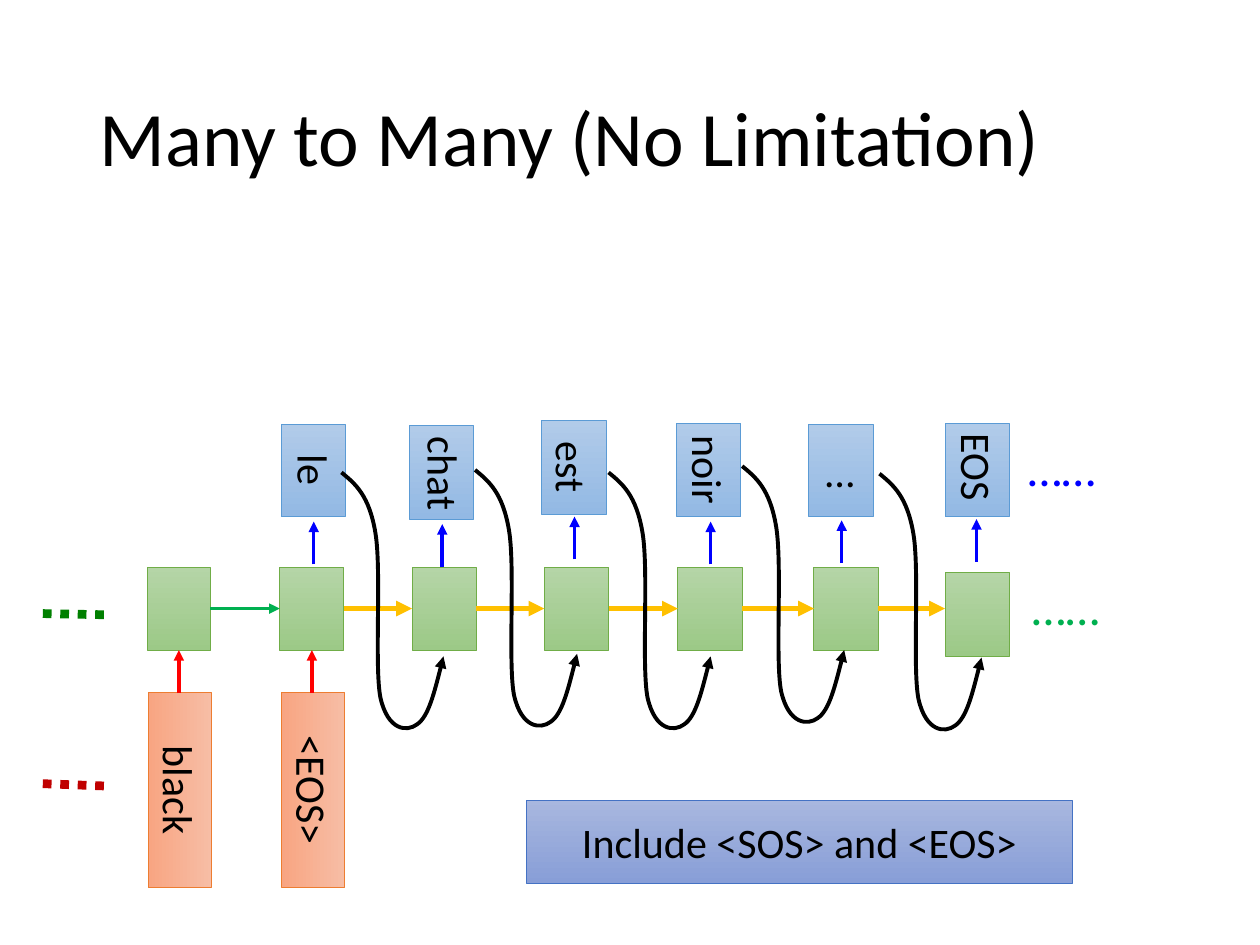
from dataclasses import dataclass
from typing import NamedTuple, Optional

from lxml import etree
from pptx import Presentation
from pptx.dml.color import RGBColor
from pptx.enum import dml, shapes, text
from pptx.oxml.ns import qn
from pptx.util import Inches, Pt


class Gradient(NamedTuple):
    light: str
    dark: str
    edge: str


@dataclass(frozen=True)
class Theme:
    font: str = "Calibri"
    title_size: int = 44
    label_size: int = 24
    dots_size: int = 28
    ink: str = "000000"
    hidden: Gradient = Gradient("B5D5A7", "9CC987", "70AD47")
    word: Gradient = Gradient("B1CBE9", "93B9E4", "5B9BD5")
    source: Gradient = Gradient("F7BDA5", "F8A582", "ED7D31")
    note: Gradient = Gradient("A8B7DF", "889ED7", "4472C4")
    input_arrow: str = "FF0000"
    output_arrow: str = "0000FF"
    encoder_arrow: str = "00B050"
    decoder_arrow: str = "FFC000"
    input_dots: str = "C00000"
    state_dots: str = "008000"


THEME = Theme()


class Box(NamedTuple):
    left: float
    top: float
    width: float
    height: float

    @property
    def centre(self) -> tuple[float, float]:
        return self.left + self.width / 2, self.top + self.height / 2


class Point(NamedTuple):
    x: float
    y: float


@dataclass(frozen=True)
class Step:
    """One decoder step: its state, the word it emits and the arrow between."""
    state: Box
    word: str
    word_box: Box
    label: Box
    arrow_start: Point
    rotation: int = 90


STEPS = [
    Step(Box(2.22, 4.5, 0.51, 0.66), "le", Box(2.23, 3.37, 0.51, 0.73),
         Box(2.02, 3.48, 0.95, 0.5), Point(2.49, 4.48)),
    Step(Box(3.27, 4.5, 0.51, 0.66), "chat", Box(3.25, 3.38, 0.51, 0.74),
         Box(3.1, 3.51, 0.85, 0.5), Point(3.51, 4.5)),
    Step(Box(4.32, 4.5, 0.51, 0.66), "est", Box(4.3, 3.34, 0.51, 0.74),
         Box(4.2, 3.46, 0.69, 0.5), Point(4.56, 4.44)),
    Step(Box(5.38, 4.5, 0.51, 0.66), "noir", Box(5.37, 3.36, 0.51, 0.74),
         Box(5.15, 3.48, 0.95, 0.5), Point(5.64, 4.48)),
    Step(Box(6.46, 4.5, 0.51, 0.66), "…", Box(6.42, 3.37, 0.51, 0.73),
         Box(6.32, 3.49, 0.69, 0.5), Point(6.68, 4.47), rotation=0),
    Step(Box(7.5, 4.54, 0.51, 0.67), "EOS", Box(7.5, 3.36, 0.51, 0.74),
         Box(7.14, 3.46, 1.24, 0.5), Point(7.75, 4.46)),
]
ENCODER_STATE = Box(1.17, 4.5, 0.5, 0.66)
ARROW_RISE = 0.34

# Feedback loop from a word to the next state: three points for each curve
LOOP_STARTS = [Point(2.71, 3.75), Point(3.77, 3.73), Point(4.83, 3.75),
               Point(5.89, 3.7), Point(6.98, 3.76)]
LOOP_OFFSETS = [
    Point(0.11, 0.09), Point(0.22, 0.18), Point(0.27, 0.48),
    Point(0.32, 0.78), Point(0.26, 1.54), Point(0.31, 1.79),
    Point(0.37, 2.05), Point(0.52, 2.06), Point(0.6, 2),
    Point(0.69, 1.94), Point(0.75, 1.7), Point(0.81, 1.46),
]


def rgb(colour: str) -> RGBColor:
    return RGBColor.from_string(colour)


def write(shape, words: str, size: int, colour: str = THEME.ink,
          align=text.PP_ALIGN.CENTER):
    shape.text_frame.text = words
    paragraph = shape.text_frame.paragraphs[0]
    paragraph.alignment = align
    font = paragraph.runs[0].font
    font.name, font.size, font.color.rgb = THEME.font, Pt(size), rgb(colour)
    return paragraph


def add_box(slide, box: Box, style: Gradient, words: str = "", rotation: int = 0):
    shape = slide.shapes.add_shape(shapes.MSO_SHAPE.RECTANGLE, *map(Inches, box))
    shape.rotation = rotation
    shape.shadow.inherit = False
    shape.fill.gradient()
    shape.fill.gradient_angle = 270
    for stop, colour in zip(shape.fill.gradient_stops, (style.light, style.dark)):
        stop.color.rgb = rgb(colour)
    shape.line.color.rgb, shape.line.width = rgb(style.edge), Pt(0.5)
    if words:
        write(shape, words, THEME.label_size)
    return shape


def add_label(slide, box: Box, words: str, size: int, colour: str = THEME.ink,
              align=text.PP_ALIGN.CENTER, rotation: int = 0) -> None:
    label = slide.shapes.add_textbox(*map(Inches, box))
    label.rotation = rotation
    label.text_frame.word_wrap = True
    write(label, words, size, colour, align)


def add_arrowhead(shape) -> None:
    line = shape._element.spPr.find(qn("a:ln"))
    etree.SubElement(line, qn("a:tailEnd"), type="triangle")


def add_line(slide, start: Point, end: Point, colour: str, width: float,
             arrow: bool = True, begin_shape: Optional[object] = None,
             end_joint: Optional[tuple] = None):
    line = slide.shapes.add_connector(
        shapes.MSO_CONNECTOR.STRAIGHT, *map(Inches, (*start, *end)))
    line.line.color.rgb, line.line.width = rgb(colour), Pt(width)
    if arrow:
        add_arrowhead(line)
    etree.SubElement(line._element.spPr, qn("a:effectLst"))
    if begin_shape is not None:
        line.begin_connect(begin_shape, 3)
    if end_joint is not None:
        line.end_connect(*end_joint)
    return line


def add_loop(slide, start: Point) -> None:
    builder = slide.shapes.build_freeform(Inches(start.x), Inches(start.y))
    builder.add_line_segments(
        [(Inches(start.x + p.x), Inches(start.y + p.y)) for p in LOOP_OFFSETS], close=False)
    loop = builder.convert_to_shape()
    # Every three straight segments become one cubic curve
    outline = next(loop._element.iter(qn("a:path")))
    segments = outline.findall(qn("a:lnTo"))
    for i in range(0, len(segments), 3):
        curve = etree.SubElement(outline, qn("a:cubicBezTo"))
        for segment in segments[i:i + 3]:
            curve.append(segment[0])
            outline.remove(segment)
    loop.shadow.inherit = False
    loop.fill.background()
    loop.line.color.rgb, loop.line.width = rgb(THEME.ink), Pt(2.25)
    add_arrowhead(loop)


def main() -> None:
    presentation = Presentation()
    presentation.slide_width, presentation.slide_height = Inches(10), Inches(7.5)
    slide = presentation.slides.add_slide(presentation.slide_layouts[5])

    # Title
    title = slide.shapes.title
    title.left, title.top, title.width, title.height = map(Inches, (0.69, 0.4, 8.62, 1.45))
    paragraph = write(title, "Many to Many (No Limitation)", THEME.title_size,
                      align=text.PP_ALIGN.LEFT)
    paragraph.line_spacing = 0.9
    title.text_frame.vertical_anchor = text.MSO_ANCHOR.MIDDLE

    # Recurrent states and the arrows between them
    boxes = [ENCODER_STATE] + [step.state for step in STEPS]
    states = [add_box(slide, box, THEME.hidden) for box in boxes]
    for i, (here, following) in enumerate(zip(boxes, boxes[1:])):
        colour, width = (THEME.decoder_arrow, 3) if i else (THEME.encoder_arrow, 2)
        level = here.centre[1]
        aligned = here.top == following.top
        add_line(slide, Point(here.left + here.width, level), Point(following.left, level),
                 colour, width, begin_shape=states[i],
                 end_joint=(states[i + 1], 1) if aligned else None)

    # Input words, turned upright, feeding the first two states
    for words, left, state, box in zip(("black", "<EOS>"), (0.65, 1.71), states, boxes):
        source = add_box(slide, Box(left, 6.02, 1.55, 0.5), THEME.source, words, rotation=90)
        source.text_frame.vertical_anchor = text.MSO_ANCHOR.TOP
        x = box.centre[0]
        add_line(slide, Point(x, 5.5), Point(x, box.top + box.height),
                 THEME.input_arrow, 2, end_joint=(state, 2))

    # Output words
    for step in STEPS:
        add_box(slide, step.word_box, THEME.word)
        add_label(slide, step.label, step.word, THEME.label_size, rotation=step.rotation)
        x, y = step.arrow_start
        add_line(slide, step.arrow_start, Point(x, y - ARROW_RISE), THEME.output_arrow, 2)

    # Each word returns as the next input
    for start in LOOP_STARTS:
        add_loop(slide, start)

    # Continuation marks on both sides
    for left, top, colour in ((8.09, 4.53, THEME.encoder_arrow), (8.06, 3.42, THEME.output_arrow)):
        add_label(slide, Box(left, top, 1.21, 0.57), "……", THEME.dots_size, colour,
                  text.PP_ALIGN.LEFT)
    for y, drop, colour in ((6.22, 0.02, THEME.input_dots), (4.87, 0.01, THEME.state_dots)):
        dots = add_line(slide, Point(0.34, y), Point(0.88, y + drop), colour, 5, arrow=False)
        dots.line.dash_style = dml.MSO_LINE.ROUND_DOT

    # Note
    add_box(slide, Box(4.18, 6.35, 4.33, 0.66), THEME.note, "Include <SOS> and <EOS>")
    presentation.save("out.pptx")


if __name__ == "__main__":
    main()
